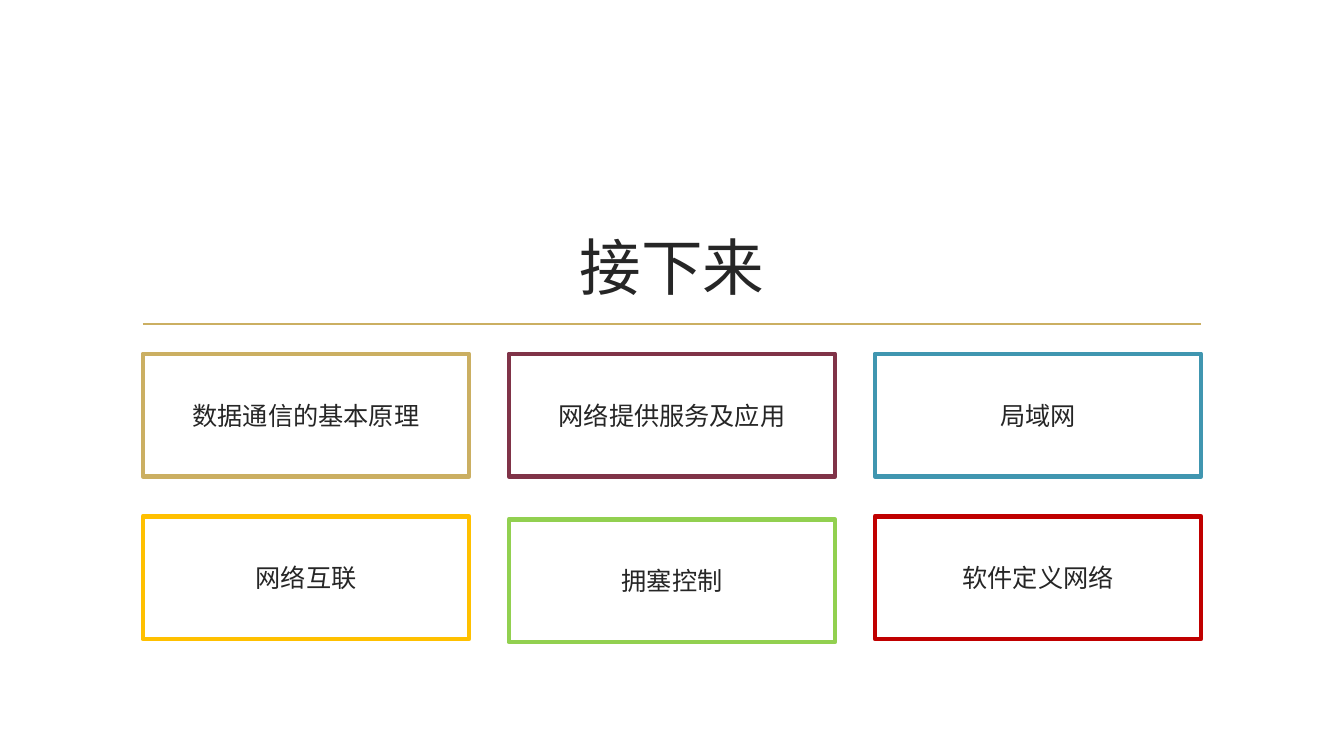
from dataclasses import dataclass

from lxml import etree
from pptx import Presentation
from pptx import util as u
from pptx.dml.color import RGBColor
from pptx.enum import shapes, text
from pptx.oxml.ns import qn

EMU_PER_PX = 914400 / 100.8


@dataclass(frozen=True)
class Theme:
    font: str = "Noto Sans CJK SC"
    ink: str = "262626"
    rule: str = "CBAF62"
    title_pt: float = 44
    topic_pt: float = 18
    rule_pt: float = 1.25
    border_pt: float = 3.5


THEME = Theme()
COLUMNS, GAP = 3, 40
# name, border colour, downward offset in px
TOPICS = [
    ("数据通信的基本原理", "CBAF62", 0),
    ("网络提供服务及应用", "803348", 0),
    ("局域网", "4096B0", 0),
    ("网络互联", "FFC000", 0),
    ("拥塞控制", "92D050", 3),
    ("软件定义网络", "C00000", 0),
]


def px(*lengths):
    return [u.Emu(round(n * EMU_PER_PX)) for n in lengths]


def write(sp, words, size, anchor):
    tf = sp.text_frame
    tf.word_wrap = True
    tf.vertical_anchor = anchor
    p = tf.paragraphs[0]
    p.text = words
    p.alignment = text.PP_ALIGN.CENTER
    p.font.size = u.Pt(size)
    p.font.color.rgb = RGBColor.from_string(THEME.ink)
    p.font.name = THEME.font
    # Chinese text takes its face from the East Asian font
    ea = etree.SubElement(p._p.pPr.find(qn("a:defRPr")), qn("a:ea"))
    ea.set("typeface", THEME.font)


def set_line(line, color, width):
    line.color.rgb = RGBColor.from_string(color)
    line.width = u.Pt(width)


def add_heading(s, words, x, y, w, h, rule_drop):
    """Bottom-aligned title with a rule rule_drop px below its box."""
    rule_y = y + h + rule_drop
    rule = s.shapes.add_connector(
        shapes.MSO_CONNECTOR.STRAIGHT, *px(x, rule_y, x + w, rule_y))
    set_line(rule.line, THEME.rule, THEME.rule_pt)
    etree.SubElement(rule._element.spPr, qn("a:effectLst"))
    title = s.shapes.add_textbox(*px(x, y, w, h))
    write(title, words, THEME.title_pt, text.MSO_ANCHOR.BOTTOM)


def add_topic_grid(s, x, y, w, h):
    rows = len(TOPICS) // COLUMNS
    box_w = (w - (COLUMNS - 1) * GAP) / COLUMNS
    box_h = (h - (rows - 1) * GAP) / rows
    for i, (name, color, drop) in enumerate(TOPICS):
        row, col = divmod(i, COLUMNS)
        sp = s.shapes.add_shape(
            shapes.MSO_SHAPE.RECTANGLE,
            *px(x + col * (box_w + GAP), y + row * (box_h + GAP) + drop,
                box_w, box_h))
        sp.shadow.inherit = False
        sp.fill.background()
        set_line(sp.line, color, THEME.border_pt)
        write(sp, name, THEME.topic_pt, text.MSO_ANCHOR.MIDDLE)


def main():
    prs = Presentation()
    prs.slide_width, prs.slide_height = px(1344, 756)
    s = prs.slides.add_slide(prs.slide_layouts[6])
    add_heading(s, "接下来", 143, 108, 1058, 200, rule_drop=16)
    add_topic_grid(s, 143, 354, 1058, 285)
    prs.save("out.pptx")


if __name__ == "__main__":
    main()
